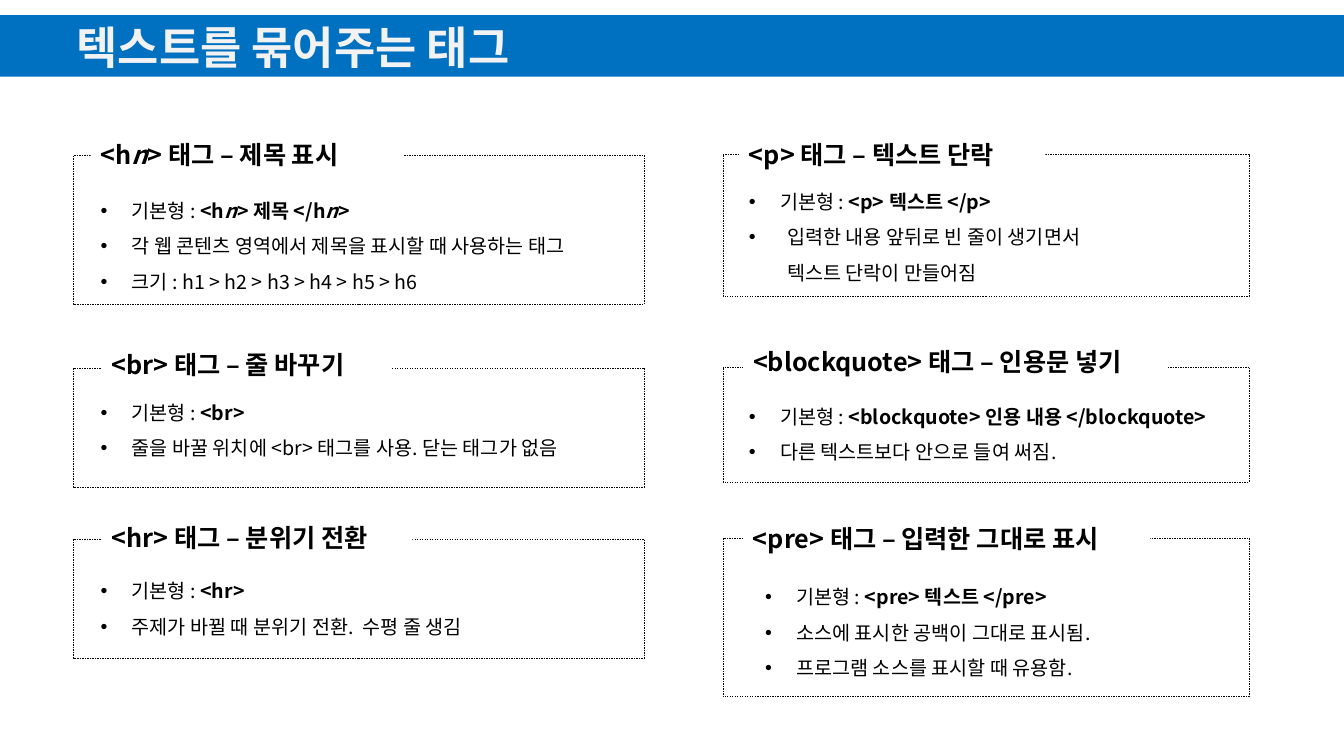
from lxml.etree import SubElement
from pptx import Presentation
from pptx.dml.color import RGBColor
from pptx.enum.dml import MSO_LINE
from pptx.enum.shapes import MSO_SHAPE
from pptx.enum.text import MSO_ANCHOR, MSO_AUTO_SIZE, PP_ALIGN
from pptx.oxml.ns import qn
from pptx.util import Pt

PX = 9144  # 100 px to the inch
KOREAN_FONT = "Noto Sans CJK KR"


def color(hex_text):
    return RGBColor.from_string(hex_text)


def add_run(paragraph, text, size, style="", hex_text="000000", font_name=KOREAN_FONT):
    """Add one run; style holds b for bold and i for italic."""
    run = paragraph.add_run()
    run.text = text
    run.font.size = Pt(size)
    run.font.bold = "b" in style
    run.font.italic = "i" in style
    run.font.name = font_name
    run.font.color.rgb = color(hex_text)
    SubElement(run.font.fill._xPr, qn("a:ea"), typeface=KOREAN_FONT)


presentation = Presentation()
presentation.slide_width = 1333 * PX
presentation.slide_height = 750 * PX
slide = presentation.slides.add_slide(presentation.slide_layouts[5])

# Title on its blue band
title = slide.shapes.title
title.left, title.top, title.width, title.height = [n * PX for n in (66, 13, 994, 73)]
title_frame = title.text_frame
title_frame.auto_size = MSO_AUTO_SIZE.NONE
title_frame.vertical_anchor = MSO_ANCHOR.MIDDLE
title_paragraph = title_frame.paragraphs[0]
title_paragraph.alignment = PP_ALIGN.LEFT
title_paragraph.line_spacing = 0.9
add_run(title_paragraph, "텍스트를 묶어주는 태그", 32, "b", "F2F2F2", "Arial")

band = slide.shapes.add_shape(MSO_SHAPE.RECTANGLE, 0, 15 * PX, 1333 * PX, 61 * PX)
band.shadow.inherit = False
band.fill.solid()
band.fill.fore_color.rgb = color("0070C0")
band.line.fill.background()
title.element.addprevious(band.element)

# Cards: frame top and height, label box and runs, body box and bullets (indent, runs)
BASIC = ("기본형 : ", "")
LEFT_COLUMN, RIGHT_COLUMN = (73, 566), (717, 522)
cards = [
    (LEFT_COLUMN, 154, 148,
     (90, 133, 310), [("<h", "b"), ("n", "bi"), ("> 태그 – 제목 표시", "b")],
     (90, 181, 600, 136),
     [(31, [BASIC, ("<h", "b"), ("n", "bi"), ("> 제목 </h", "b"), ("n", "bi"), (">", "b")]),
      (31, [("각 웹 콘텐츠 영역에서 제목을 표시할 때 사용하는 태그", "")]),
      (31, [("크기 : h1 > h2 > h3 > h4 > h5 > h6", "")])]),
    (LEFT_COLUMN, 365, 118,
     (101, 342, 287), [("<br> 태그 – 줄 바꾸기", "b")],
     (90, 381, 600, 81),
     [(31, [BASIC, ("<br>", "b")]),
      (31, [("줄을 바꿀 위치에 <br> 태그를 사용. 닫는 태그가 없음", "")])]),
    (LEFT_COLUMN, 535, 118,
     (101, 513, 308), [("<hr> 태그 – 분위기 전환", "b")],
     (90, 558, 600, 81),
     [(31, [BASIC, ("<hr>", "b")]),
      (31, [("주제가 바뀔 때 분위기 전환.  수평 줄 생김", "")])]),
    (RIGHT_COLUMN, 153, 141,
     (733, 133, 304), [("<p> 태그 – 텍스트 단락", "b")],
     (733, 172, 550, 112),
     [(31, [BASIC, ("<p> 텍스트 </p>", "b")]),
      (38, [("입력한 내용 앞뒤로 빈 줄이 생기면서 ", ""), ("\n", ""),
            ("텍스트 단락이 만들어짐", "")])]),
    (RIGHT_COLUMN, 364, 114,
     (737, 339, 421), [("<blockquote> 태그 – 인용문 넣기", "b")],
     (733, 385, 600, 81),
     [(31, [BASIC, ("<blockquote> 인용 내용 </blockquote>", "b")]),
      (31, [("다른 텍스트보다 안으로 들여 써짐.", "")])]),
    (RIGHT_COLUMN, 534, 157,
     (737, 514, 404), [("<pre> 태그 – 입력한 그대로 표시", "b")],
     (749, 564, 600 - 16, 136),
     [(31, [BASIC, ("<pre> 텍스트 </pre>", "b")]),
      (31, [("소스에 표시한 공백이 그대로 표시됨.", "")]),
      (31, [("프로그램 소스를 표시할 때 유용함.", "")])]),
]

for (left, width), top, height, label_box, label_runs, body_box, bullets in cards:
    # Dashed frame
    frame = slide.shapes.add_shape(
        MSO_SHAPE.RECTANGLE, left * PX, top * PX, width * PX, height * PX)
    frame.shadow.inherit = False
    frame.fill.background()
    frame.line.color.rgb = color("000000")
    frame.line.width = Pt(0.25)
    frame.line.dash_style = MSO_LINE.DASH

    # Bulleted body
    body = slide.shapes.add_textbox(*[n * PX for n in body_box]).text_frame
    body.word_wrap = True
    for index, (indent, runs) in enumerate(bullets):
        paragraph = body.add_paragraph() if index else body.paragraphs[0]
        paragraph.line_spacing = 1.5
        properties = paragraph._p.get_or_add_pPr()
        properties.set("marL", str(indent * PX))
        properties.set("indent", str(-indent * PX))
        SubElement(properties, qn("a:buFont"), typeface="Arial")
        SubElement(properties, qn("a:buChar"), char="•")
        for text, style in runs:
            if text == "\n":
                paragraph.add_line_break()
                SubElement(paragraph._p[-1], qn("a:rPr"), sz="1400")
            else:
                add_run(paragraph, text, 14, style)

    # White label over the top edge of the frame
    label = slide.shapes.add_textbox(*[n * PX for n in (*label_box, 40)])
    label.fill.solid()
    label.fill.fore_color.rgb = color("FFFFFF")
    label.text_frame.word_wrap = True
    for text, style in label_runs:
        add_run(label.text_frame.paragraphs[0], text, 18, style)

presentation.save("out.pptx")
